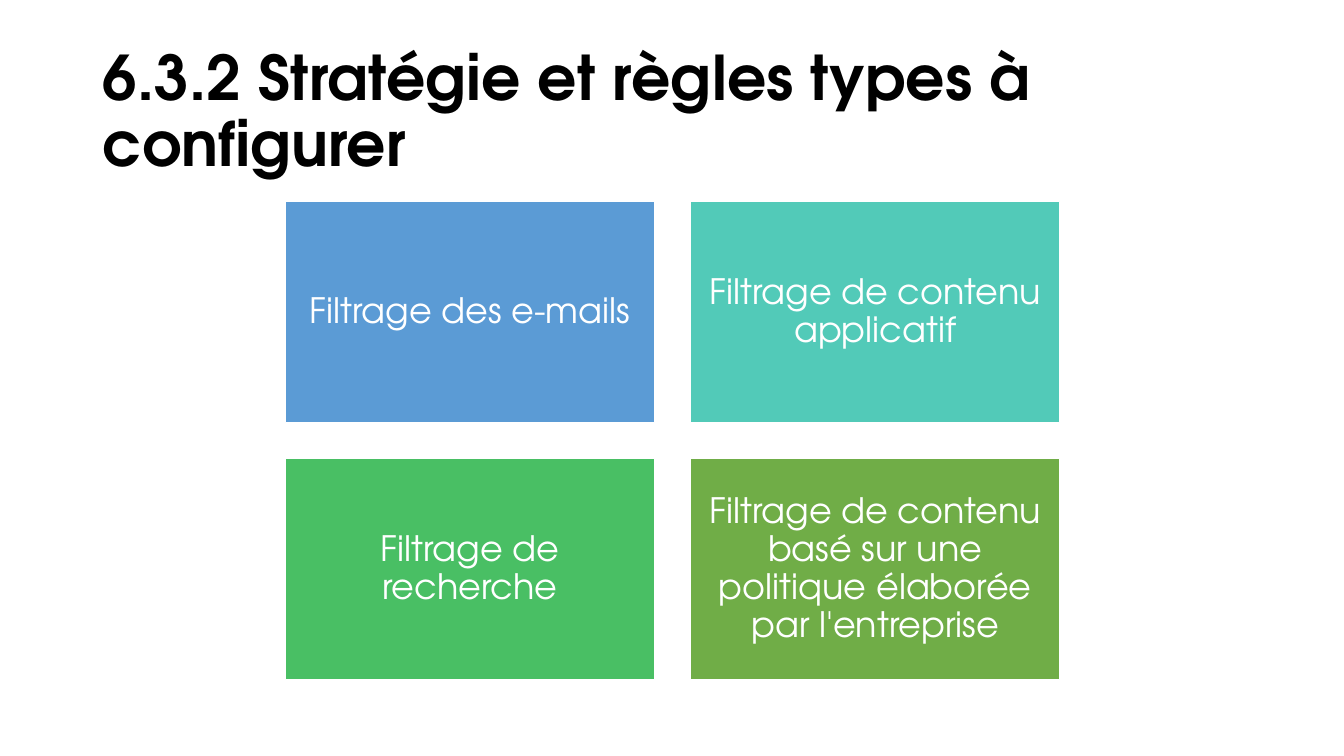
import dataclasses

import pptx
import pptx.dml.color
import pptx.enum.shapes
import pptx.enum.text
import pptx.shapes.autoshape
import pptx.slide
import pptx.text.text
import pptx.util

Inches = pptx.util.Inches
Align = pptx.enum.text.PP_ALIGN


@dataclasses.dataclass(frozen=True)
class Theme:
    font: str = "TeX Gyre Adventor"
    dark: str = "000000"
    light: str = "FFFFFF"
    blue: str = "5B9BD5"
    teal: str = "52CAB8"
    green: str = "49BF64"
    olive: str = "70AD47"
    head: int = 44
    body: int = 25


@dataclasses.dataclass(frozen=True)
class Card:
    text: str
    fill: str


THEME = Theme()
TITLE = "6.3.2 Stratégie et règles types à configurer"
CARDS = [
    Card("Filtrage des e-mails", THEME.blue),
    Card("Filtrage de contenu applicatif", THEME.teal),
    Card("Filtrage de recherche", THEME.green),
    Card("Filtrage de contenu basé sur une politique élaborée par l'entreprise", THEME.olive),
]
COLS = 2
LEFT, TOP = 2.83, 2.0
WIDTH, HEIGHT = 3.66, 2.19
GAP = 0.36


def paint(code: str) -> pptx.dml.color.RGBColor:
    return pptx.dml.color.RGBColor.from_string(code)


def write(frame: pptx.text.text.TextFrame, text: str, size: int,
          color: str, align: Align, bold: bool = False) -> None:
    frame.word_wrap = True
    frame.auto_size = pptx.enum.text.MSO_AUTO_SIZE.NONE
    frame.vertical_anchor = pptx.enum.text.MSO_ANCHOR.MIDDLE
    para = frame.paragraphs[0]
    para.alignment = align
    para.line_spacing = 0.9
    run = para.add_run()
    run.text = text
    run.font.name = THEME.font
    run.font.size = pptx.util.Pt(size)
    run.font.bold = bold
    run.font.color.rgb = paint(color)


def draw_title(slide: pptx.slide.Slide) -> None:
    title = slide.shapes.title
    title.left, title.top = Inches(0.92), Inches(0.4)
    title.width, title.height = Inches(11.5), Inches(1.45)
    write(title.text_frame, TITLE, THEME.head, THEME.dark, Align.LEFT, True)


def draw_card(slide: pptx.slide.Slide, card: Card, row: int, col: int) -> None:
    box = slide.shapes.add_shape(
        pptx.enum.shapes.MSO_SHAPE.RECTANGLE,
        Inches(LEFT + col * (WIDTH + GAP)), Inches(TOP + row * (HEIGHT + GAP)),
        Inches(WIDTH), Inches(HEIGHT))
    box.shadow.inherit = False
    box.fill.solid()
    box.fill.fore_color.rgb = paint(card.fill)
    box.line.color.rgb = paint(THEME.light)
    box.line.width = pptx.util.Pt(1)
    frame = box.text_frame
    frame.margin_left = frame.margin_right = Inches(0.1)
    frame.margin_top = frame.margin_bottom = Inches(0.1)
    write(frame, card.text, THEME.body, THEME.light, Align.CENTER)


def main() -> None:
    deck = pptx.Presentation()
    deck.slide_width, deck.slide_height = Inches(13.33), Inches(7.5)
    slide = deck.slides.add_slide(deck.slide_layouts.get_by_name("Title Only"))
    draw_title(slide)
    for index, card in enumerate(CARDS):
        row, col = divmod(index, COLS)
        draw_card(slide, card, row, col)
    deck.save("out.pptx")


if __name__ == "__main__":
    main()
